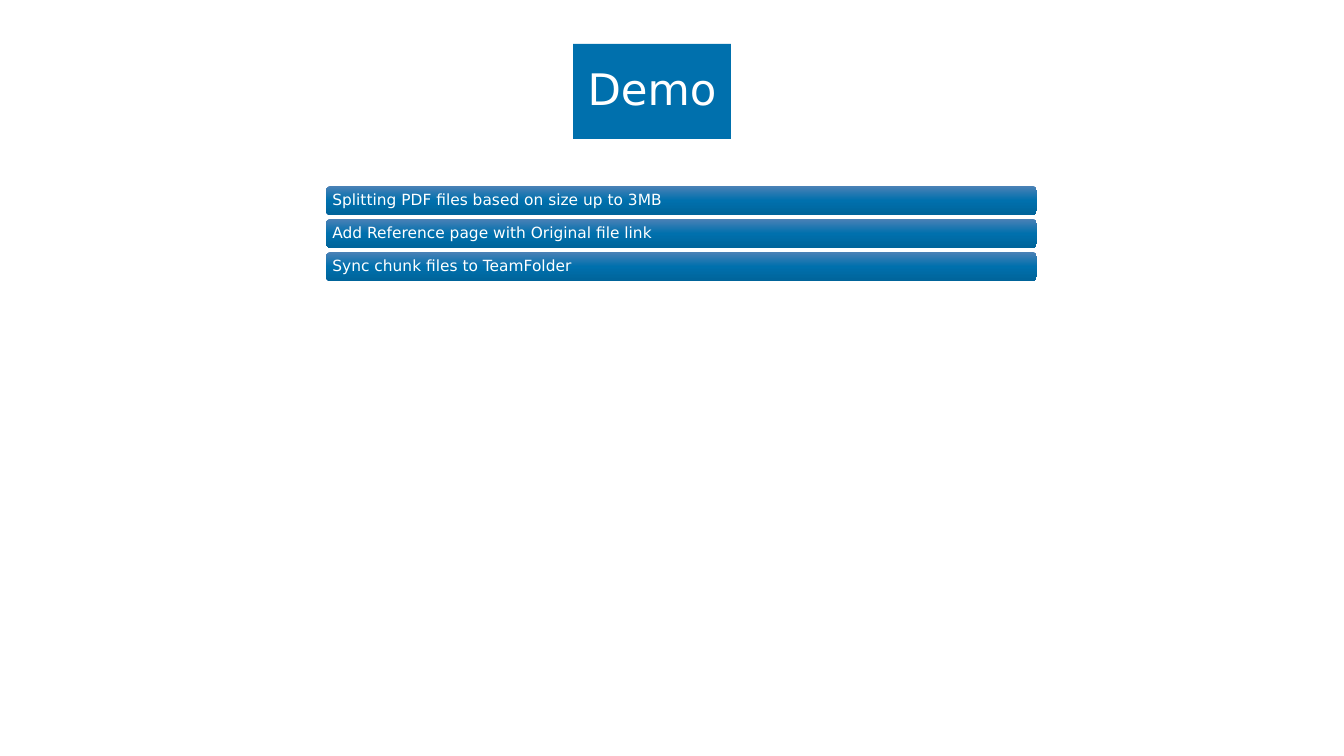
from copy import deepcopy
from dataclasses import dataclass

from pptx import Presentation
from pptx.dml.color import RGBColor as Rgb
from pptx.enum.shapes import MSO_SHAPE as Shape
from pptx.enum.text import MSO_ANCHOR as Anchor, PP_ALIGN as Align
from pptx.oxml.ns import qn
from pptx.util import Pt

SCALE = 914400 / 100.8  # EMU in one px


@dataclass(frozen=True)
class Theme:
    face: str = "DejaVu Sans"
    ink: str = "FFFFFF"
    blue: str = "0070AD"
    shine: tuple = ((0, "4B81B6"), (0.5, "0070AD"), (1, "00649A"))
    title: int = 31
    body: int = 11


THEME = Theme()
STEPS = (
    "Splitting PDF files based on size up to 3MB",
    "Add Reference page with Original file link",
    "Sync chunk files to TeamFolder",
)


def px(num):
    return round(num * SCALE)


def apply(item, form):
    for name, value in form.items():
        setattr(item, name, value)


def block(slide, kind, box, text, size, inset, align):
    """Add a borderless shape that holds one line of text."""
    shape = slide.shapes.add_shape(kind, *map(px, box))
    shape.shadow.inherit = False
    shape.line.fill.background()
    frame = shape.text_frame
    pad = px(inset)
    apply(frame, {
        "margin_left": pad, "margin_right": pad,
        "margin_top": pad, "margin_bottom": pad,
        "vertical_anchor": Anchor.MIDDLE, "word_wrap": True,
    })
    para = frame.paragraphs[0]
    apply(para, {"alignment": align, "line_spacing": 0.9})
    run = para.add_run()
    run.text = text
    apply(run.font, {"name": THEME.face, "size": Pt(size)})
    run.font.color.rgb = Rgb.from_string(THEME.ink)
    return shape


def shade(shape):
    """Fill from top to bottom with the three theme stops."""
    fill = shape.fill
    fill.gradient()
    fill.gradient_angle = 270
    stops = next(shape.element.iter(qn("a:gsLst")))
    stops.append(deepcopy(stops[0]))
    for stop, (place, color) in zip(fill.gradient_stops, THEME.shine):
        stop.position = place
        stop.color.rgb = Rgb.from_string(color)


def title(slide, text):
    shape = block(slide, Shape.RECTANGLE, (573, 44, 158, 95), text,
                  THEME.title, 13, Align.CENTER)
    shape.fill.solid()
    shape.fill.fore_color.rgb = Rgb.from_string(THEME.blue)


def steps(slide, lines, top=186, pitch=33):
    for row, text in enumerate(lines):
        box = (326, top + row * pitch, 711, 29)
        shade(block(slide, Shape.ROUNDED_RECTANGLE, box, text,
                    THEME.body, 5, Align.LEFT))


def main():
    deck = Presentation()
    apply(deck, {"slide_width": px(1344), "slide_height": px(756)})
    slide = deck.slides.add_slide(deck.slide_layouts[6])
    title(slide, "Demo")
    steps(slide, STEPS)
    deck.save("out.pptx")


if __name__ == "__main__":
    main()
